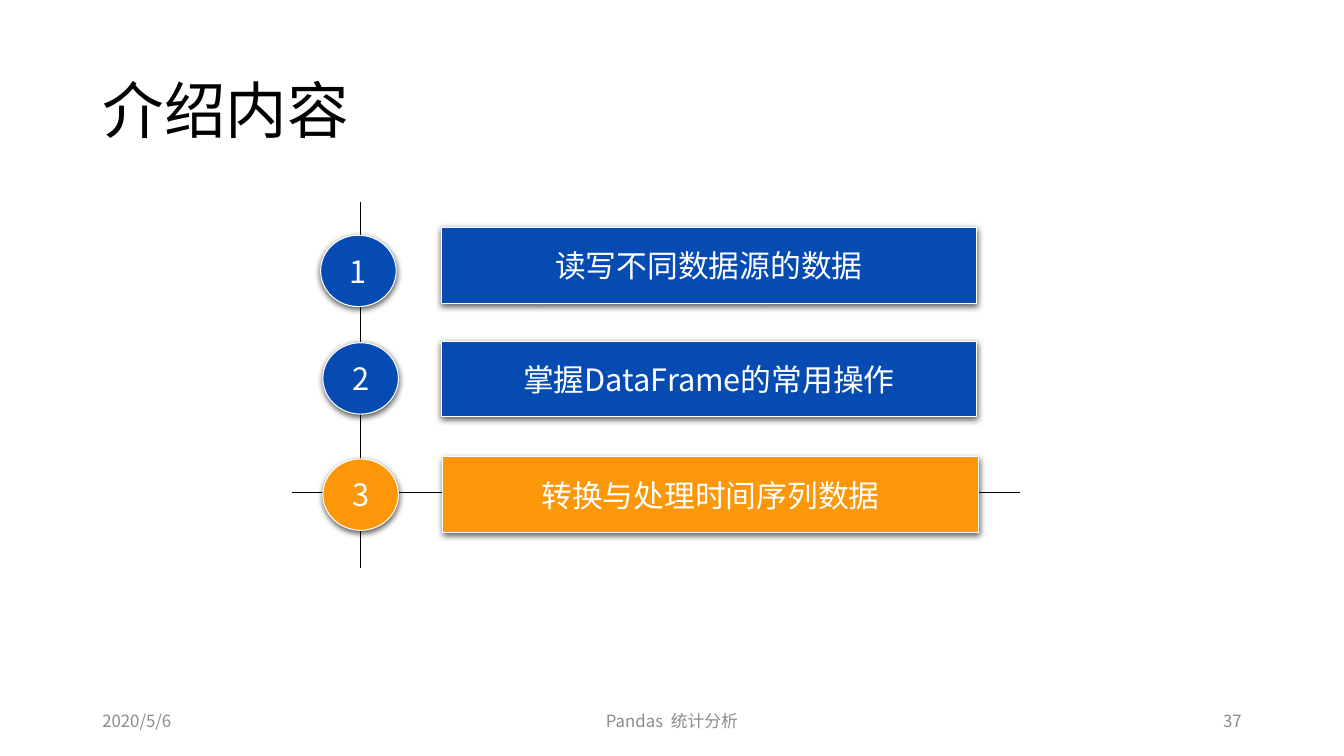
from lxml import etree
from pptx import Presentation
from pptx.dml.color import RGBColor
from pptx.enum.shapes import MSO_CONNECTOR, MSO_SHAPE
from pptx.enum.text import MSO_ANCHOR, PP_ALIGN
from pptx.oxml import parse_xml
from pptx.oxml.ns import nsdecls, qn
from pptx.util import Pt

SANS, SERIF = "Noto Sans CJK SC", "Times New Roman"
BLUE, ORANGE, WHITE, BLACK, GREY = "064BB2", "FB9708", "FFFFFF", "000000", "8C8C8C"
SHADOW = (
    f'<a:effectLst {nsdecls("a")}>'
    f'<a:outerShdw blurRad="{Pt(4.5)}" dist="{Pt(1.5)}" dir="5400000" rotWithShape="0">'
    '<a:srgbClr val="000000"><a:alpha val="63000"/></a:srgbClr>'
    '</a:outerShdw></a:effectLst>'
)


def color(hex_value):
    return RGBColor.from_string(hex_value)


def points(*lengths):
    return [Pt(length) for length in lengths]


def write(frame, text, size, hex_value, align, font=SANS):
    frame.text = text
    frame.vertical_anchor = MSO_ANCHOR.MIDDLE
    paragraph = frame.paragraphs[0]
    paragraph.alignment = align
    style = paragraph.font
    style.size = Pt(size)
    style.color.rgb = color(hex_value)
    style.name = font
    # Chinese characters take their typeface from a:ea
    defaults = paragraph._p.pPr.find(qn("a:defRPr"))
    etree.SubElement(defaults, qn("a:ea")).set("typeface", SANS)
    return paragraph


def add_title(slide, text):
    title = slide.shapes.title
    title.left, title.top, title.width, title.height = points(66, 29, 828, 104.4)
    write(title.text_frame, text, 44, BLACK, PP_ALIGN.LEFT).line_spacing = 0.9


def add_footer(slide, left, width, text, align):
    footer = slide.shapes.add_textbox(*points(left, 500.5, width, 28.75))
    footer.text_frame.word_wrap = True
    write(footer.text_frame, text, 12, GREY, align)


def add_line(slide, *ends):
    line = slide.shapes.add_connector(MSO_CONNECTOR.STRAIGHT, *points(*ends))
    line.line.color.rgb = color(BLACK)
    line.line.width = Pt(1)
    etree.SubElement(line._element.spPr, qn("a:effectLst"))


def add_raised(slide, kind, box, fill, text, font=SANS):
    raised = slide.shapes.add_shape(kind, *points(*box))
    raised.fill.solid()
    raised.fill.fore_color.rgb = color(fill)
    raised.line.color.rgb = color(WHITE)
    raised.line.width = Pt(0.75)
    raised._element.spPr.append(parse_xml(SHADOW))
    raised.text_frame.word_wrap = False
    write(raised.text_frame, text, 22, WHITE, PP_ALIGN.CENTER, font)


def main():
    deck = Presentation()
    deck.slide_width, deck.slide_height = points(960, 540)
    slide = deck.slides.add_slide(deck.slide_layouts[5])
    add_title(slide, "介绍内容")

    # Footer: date, course, page number
    add_footer(slide, 66, 216, "2020/5/6", PP_ALIGN.LEFT)
    add_footer(slide, 318, 324, "Pandas  统计分析", PP_ALIGN.CENTER)
    add_footer(slide, 678, 216, "37", PP_ALIGN.RIGHT)

    # Axis through the numbers, and the line marking the current topic
    add_line(slide, 257.5, 144, 257.5, 406)
    add_line(slide, 208.8, 352, 728.6, 352)

    # Topics: number left and top, bar left and top, colour, text, font
    topics = [
        (229, 168, 315.2, 162.6, BLUE, "读写不同数据源的数据", SERIF),
        (230.6, 244.8, 315.2, 243.6, BLUE, "掌握DataFrame的常用操作", SANS),
        (230.6, 327.8, 316.4, 326.4, ORANGE, "转换与处理时间序列数据", SANS),
    ]
    for number, topic in enumerate(topics, 1):
        disc_left, disc_top, bar_left, bar_top, fill, text, font = topic
        add_raised(slide, MSO_SHAPE.ACTION_BUTTON_CUSTOM,
                   (bar_left, bar_top, 382.3, 54), fill, text, font)
        add_raised(slide, MSO_SHAPE.OVAL,
                   (disc_left, disc_top, 54, 51), fill, str(number))

    deck.save("out.pptx")


main()
